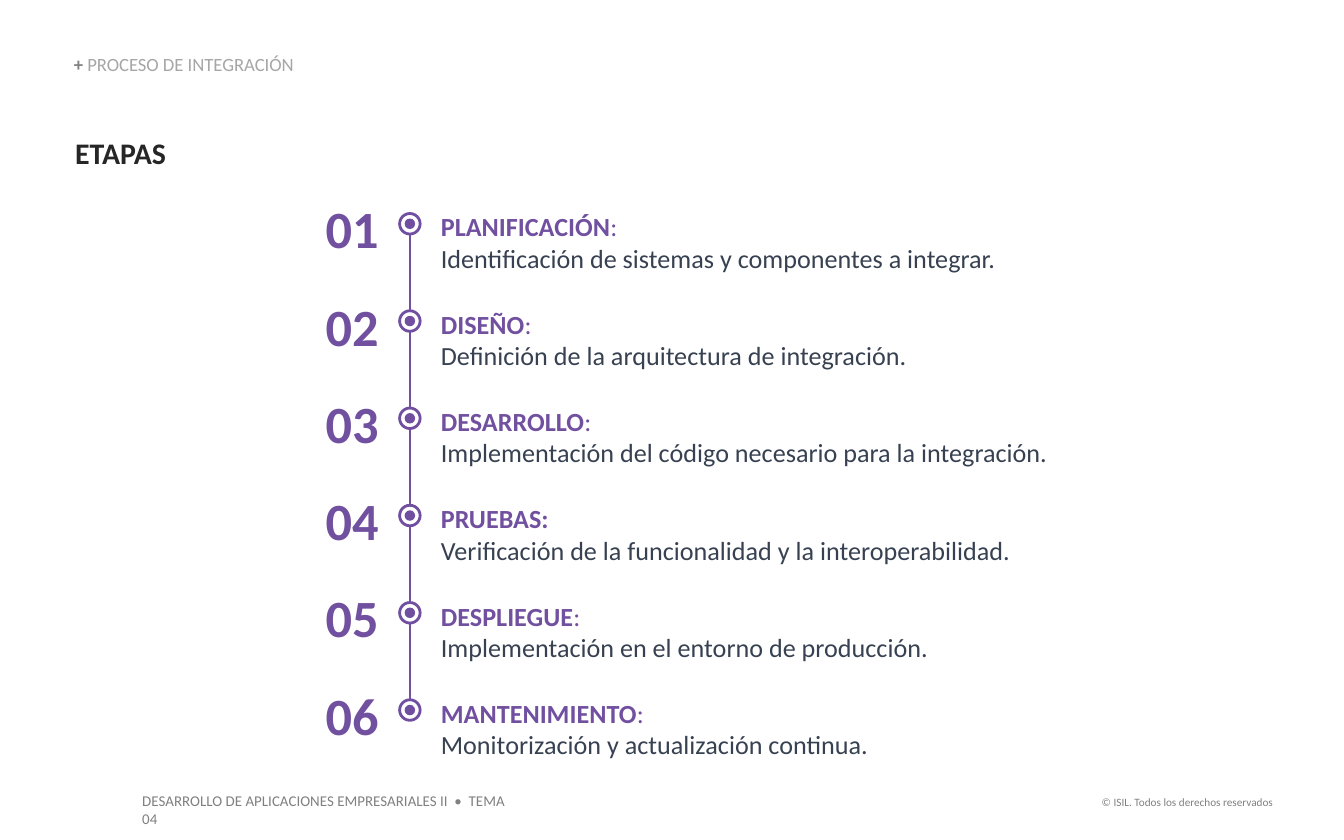
import pptx
import pptx.dml.color
import pptx.enum.shapes
import pptx.enum.text
import pptx.util
import lxml.etree

Pt = pptx.util.Pt
ALIGN = pptx.enum.text.PP_ALIGN
ANCHOR = pptx.enum.text.MSO_ANCHOR
OVAL = pptx.enum.shapes.MSO_SHAPE.OVAL
PURPLE, RING, SLATE, GRAY = "7150A0", "714FA0", "374151", "808080"


def color(value):
    return pptx.dml.color.RGBColor.from_string(value)


def add_text(left, top, width, height, paragraphs, size, inset=(0, 0),
             align=ALIGN.LEFT, anchor=ANCHOR.TOP, wrap=True):
    """Each paragraph is a list of runs: (text, colour, bold)."""
    frame = slide.shapes.add_textbox(Pt(left), Pt(top), Pt(width), Pt(height)).text_frame
    frame.word_wrap = wrap
    frame.vertical_anchor = anchor
    frame.margin_left = frame.margin_right = Pt(inset[0])
    frame.margin_top = frame.margin_bottom = Pt(inset[1])
    for index, runs in enumerate(paragraphs):
        paragraph = frame.paragraphs[0] if index == 0 else frame.add_paragraph()
        paragraph.alignment = align
        for text, run_color, bold in runs:
            run = paragraph.add_run()
            run.text = text
            run.font.name = "Calibri"
            run.font.size = Pt(size)
            run.font.bold = bold
            run.font.color.rgb = color(run_color)
    return frame


deck = pptx.Presentation()
deck.slide_width, deck.slide_height = Pt(720), Pt(450)
slide = deck.slides.add_slide(deck.slide_layouts[6])

# Footer
add_text(581, 422.6, 108, 14.4, [[("© ISIL. Todos los derechos reservados", GRAY, False)]],
         6, inset=(7.2, 3.6), align=ALIGN.RIGHT, wrap=False)
add_text(69.1, 420.5, 217.4, 17.3,
         [[("DESARROLLO DE APLICACIONES EMPRESARIALES II\u00a0 •\u00a0 TEMA 04".replace("\u00a0", " "),
            GRAY, False)]], 8, inset=(7.2, 3.6))

# Headings
add_text(40.3, 72, 567.4, 19.4, [[("ETAPAS", "262626", True)]], 16)
section = add_text(39.6, 29.5, 191.5, 10.8,
                   [[("+ ", GRAY, True), ("PROCESO DE INTEGRACIÓN", "A6A6A6", False)]],
                   10, anchor=ANCHOR.BOTTOM)
section.paragraphs[0].line_spacing = 0.9

# Timeline axis
axis_x = 219.6
axis = slide.shapes.add_connector(pptx.enum.shapes.MSO_CONNECTOR.STRAIGHT,
                                  Pt(axis_x), Pt(120.2), Pt(axis_x), Pt(377.3))
axis.line.color.rgb = color(PURPLE)
axis.line.width = Pt(1)
lxml.etree.SubElement(axis._element.spPr, pptx.oxml.ns.qn("a:effectLst"))

# Stages: name, colon in bold, description
stages = [
    ("PLANIFICACIÓN", False, "Identificación de sistemas y componentes a integrar."),
    ("DISEÑO", False, "Definición de la arquitectura de integración."),
    ("DESARROLLO", False, "Implementación del código necesario para la integración."),
    ("PRUEBAS", True, "Verificación de la funcionalidad y la interoperabilidad."),
    ("DESPLIEGUE", False, "Implementación en el entorno de producción."),
    ("MANTENIMIENTO", False, "Monitorización y actualización continua."),
]
first_center, pitch = 119.9, 52.1
for index, (stage, bold_colon, description) in enumerate(stages):
    center = first_center + index * pitch
    add_text(236.2, center - 6.9, 333.4, 33.8,
             [[(stage, PURPLE, True), (":", PURPLE, bold_colon)],
              [(description, SLATE, False)]], 14)
    add_text(172.8, center - 14.6, 31.7, 33.8, [[(f"{index + 1:02}", PURPLE, True)]],
             28, align=ALIGN.CENTER)

    # Marker: white ring with a solid dot inside
    for diameter, fill in ((11, "FFFFFF"), (5.6, RING)):
        marker = slide.shapes.add_shape(OVAL, Pt(axis_x - diameter / 2), Pt(center - diameter / 2),
                                        Pt(diameter), Pt(diameter))
        marker.shadow.inherit = False
        marker.fill.solid()
        marker.fill.fore_color.rgb = color(fill)
        if fill == RING:
            marker.line.fill.background()
        else:
            marker.line.color.rgb = color(RING)
            marker.line.width = Pt(1.5)

deck.save("out.pptx")
